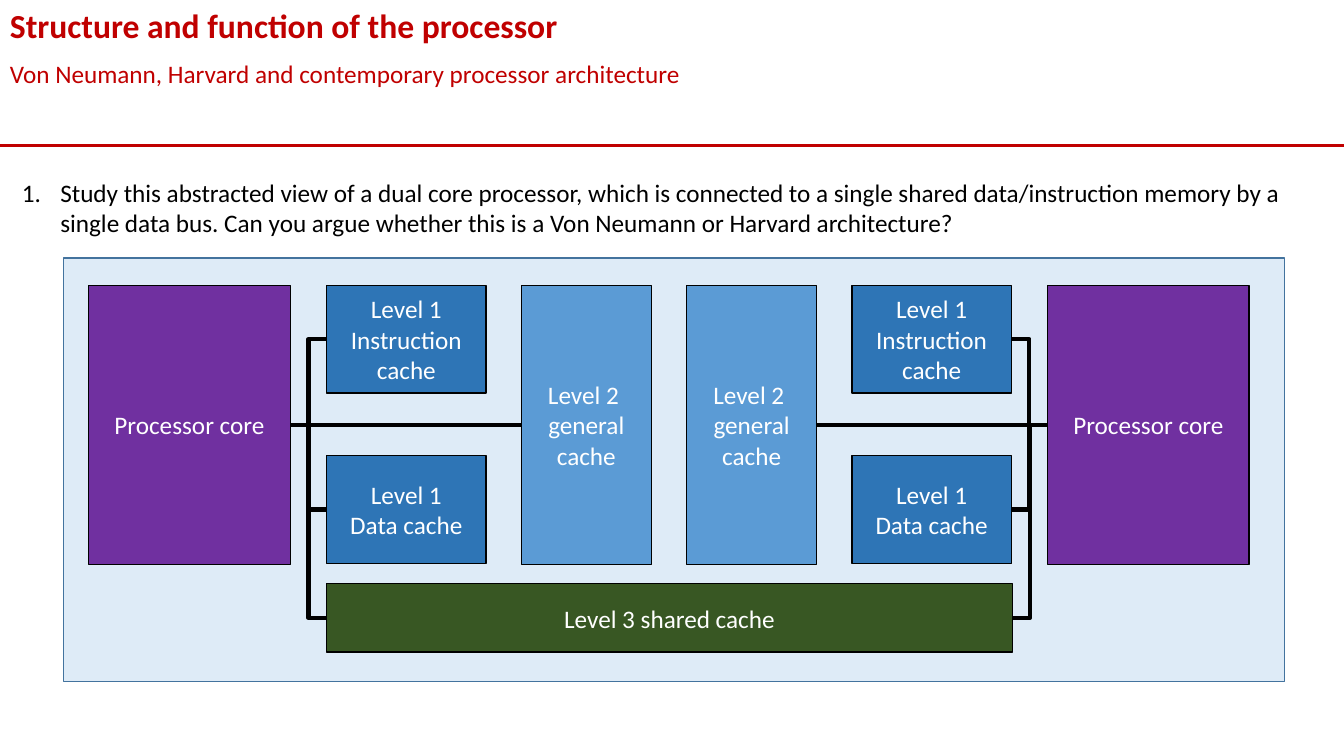
from dataclasses import dataclass

from lxml.etree import SubElement
from pptx import Presentation
from pptx.dml.color import RGBColor
from pptx.enum.shapes import MSO_CONNECTOR as Connector, MSO_SHAPE as Shape
from pptx.enum.text import MSO_ANCHOR as Anchor, PP_ALIGN as Align
from pptx.oxml.ns import qn
from pptx.util import Inches, Pt

SLIDE_WIDTH, SLIDE_HEIGHT = 13.33, 7.5
MIRROR_SPAN = 13.27  # left edge of a box plus right edge of its twin
LEFT_SITE, RIGHT_SITE = 1, 3


@dataclass(frozen=True)
class Theme:
    font: str = "Calibri"
    title_size: float = 24
    body_size: float = 18
    accent: str = "C00000"
    ink: str = "000000"
    light: str = "FFFFFF"
    panel: str = "DEEBF7"
    panel_edge: str = "43739E"
    core: str = "7030A0"
    level_1: str = "2E75B6"
    level_2: str = "5B9BD5"
    level_3: str = "385723"
    rule_width: float = 2.25
    edge_width: float = 1
    bus_width: float = 3


class SlideBuilder:
    def __init__(self, slide, theme):
        self.shapes = slide.shapes
        self.theme = theme

    def fill_text(self, frame, text, color, size=None, bold=False):
        frame.word_wrap = True
        paragraph = frame.paragraphs[0]
        paragraph.text = text
        for run in paragraph.runs:
            run.font.name = self.theme.font
            run.font.size = Pt(size or self.theme.body_size)
            run.font.bold = bold
            run.font.color.rgb = RGBColor.from_string(color)
        return paragraph

    def text(self, left, top, width, height, text, color, **style):
        box = self.shapes.add_textbox(*map(Inches, (left, top, width, height)))
        return self.fill_text(box.text_frame, text, color, **style)

    def numbered(self, left, top, width, height, text):
        paragraph = self.text(left, top, width, height, text, self.theme.ink)
        properties = paragraph._p.get_or_add_pPr()
        indent = Inches(0.38)
        properties.set("marL", str(indent))
        properties.set("indent", str(-indent))
        SubElement(properties, qn("a:buFont"), typeface="+mj-lt")
        SubElement(properties, qn("a:buAutoNum"), type="arabicPeriod")

    def box(self, left, top, width, height, fill, label="", edge=None):
        box = self.shapes.add_shape(
            Shape.RECTANGLE, *map(Inches, (left, top, width, height)))
        box.shadow.inherit = False
        box.fill.solid()
        box.fill.fore_color.rgb = RGBColor.from_string(fill)
        box.line.color.rgb = RGBColor.from_string(edge or self.theme.ink)
        box.line.width = Pt(self.theme.edge_width)
        if label:
            box.text_frame.vertical_anchor = Anchor.MIDDLE
            paragraph = self.fill_text(box.text_frame, label, self.theme.light)
            paragraph.alignment = Align.CENTER
        return box

    def line(self, kind, start, end, color, width):
        line = self.shapes.add_connector(kind, *map(Inches, (*start, *end)))
        line.line.color.rgb = RGBColor.from_string(color)
        line.line.width = Pt(width)
        SubElement(line._element.spPr, qn("a:effectLst"))
        return line

    def bus(self, kind, core, cache, core_site, cache_site):
        """Join the side of a core to the facing side of a cache."""
        bus = self.line(kind, (0, 0), (0, 0), self.theme.ink, self.theme.bus_width)
        bus.begin_connect(core, core_site)
        bus.end_connect(cache, cache_site)


def draw_header(builder):
    theme = builder.theme
    builder.line(Connector.STRAIGHT, (0, 1.44), (SLIDE_WIDTH, 1.44),
                 theme.accent, theme.rule_width)
    builder.text(0, 0, SLIDE_WIDTH, 0.5, "Structure and function of the processor",
                 theme.accent, size=theme.title_size, bold=True)
    builder.text(0, 0.53, SLIDE_WIDTH, 0.4,
                 "Von Neumann, Harvard and contemporary processor architecture",
                 theme.accent)


def draw_processor(builder):
    theme = builder.theme
    builder.box(0.63, 2.56, 12.11, 4.2, theme.panel, edge=theme.panel_edge)
    shared_cache = builder.box(3.24, 5.79, 6.8, 0.68, theme.level_3,
                               "Level 3 shared cache")
    half = (
        (0.88, 2.83, 2, 2.77, theme.core, "Processor core"),
        (3.24, 2.83, 1.58, 1.07, theme.level_1, "Level 1 Instruction cache"),
        (3.24, 4.52, 1.58, 1.07, theme.level_1, "Level 1\nData cache"),
        (5.17, 2.83, 1.29, 2.77, theme.level_2, "Level 2 \ngeneral cache"),
    )
    for mirrored in (False, True):
        core, instruction_cache, data_cache, general_cache = (
            builder.box(MIRROR_SPAN - left - width if mirrored else left,
                        top, width, height, fill, label)
            for left, top, width, height, fill, label in half)
        sites = (LEFT_SITE, RIGHT_SITE) if mirrored else (RIGHT_SITE, LEFT_SITE)
        for cache in (instruction_cache, data_cache, shared_cache):
            builder.bus(Connector.ELBOW, core, cache, *sites)
        builder.bus(Connector.STRAIGHT, core, general_cache, *sites)


def main():
    presentation = Presentation()
    presentation.slide_width = Inches(SLIDE_WIDTH)
    presentation.slide_height = Inches(SLIDE_HEIGHT)
    slide = presentation.slides.add_slide(presentation.slide_layouts[6])
    builder = SlideBuilder(slide, Theme())
    draw_header(builder)
    builder.numbered(
        0.12, 1.71, 12.94, 0.71,
        "Study this abstracted view of a dual core processor, which is connected "
        "to a single shared data/instruction memory by a single data bus. Can you "
        "argue whether this is a Von Neumann or Harvard architecture?")
    draw_processor(builder)
    presentation.save("out.pptx")


if __name__ == "__main__":
    main()
